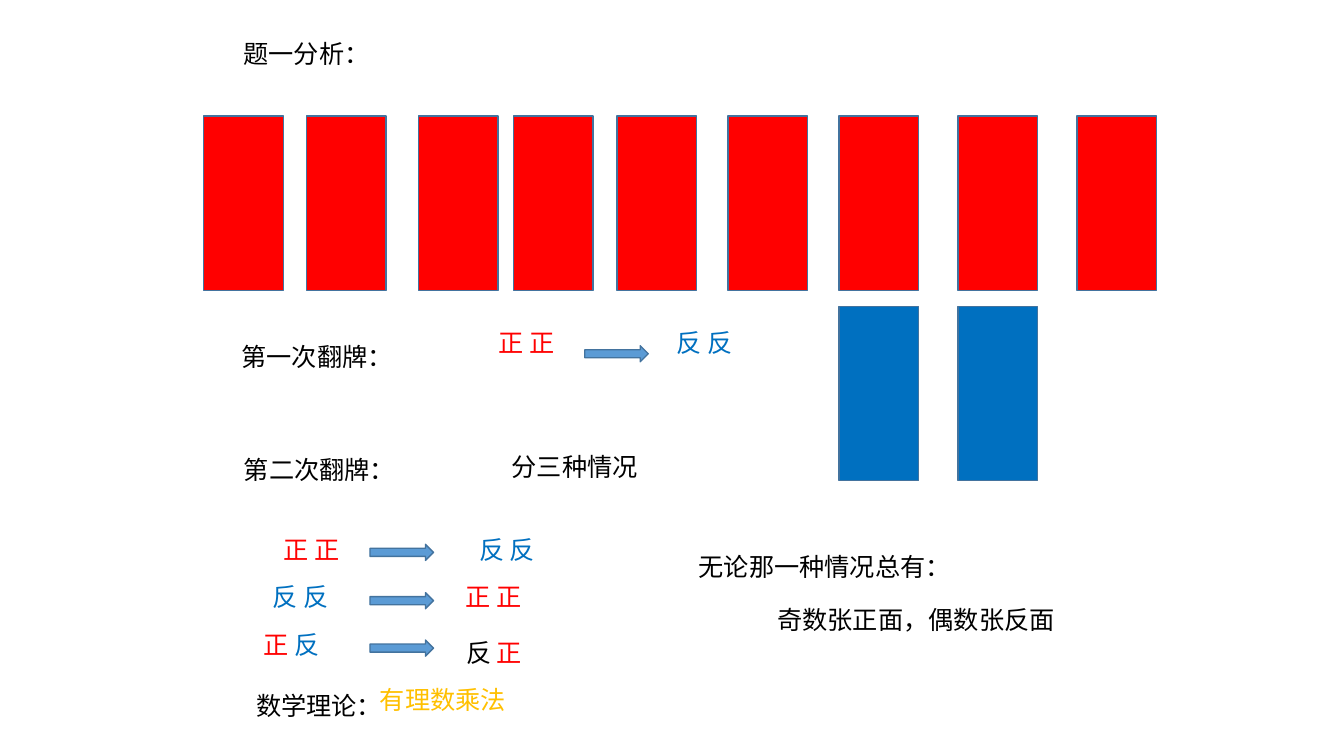
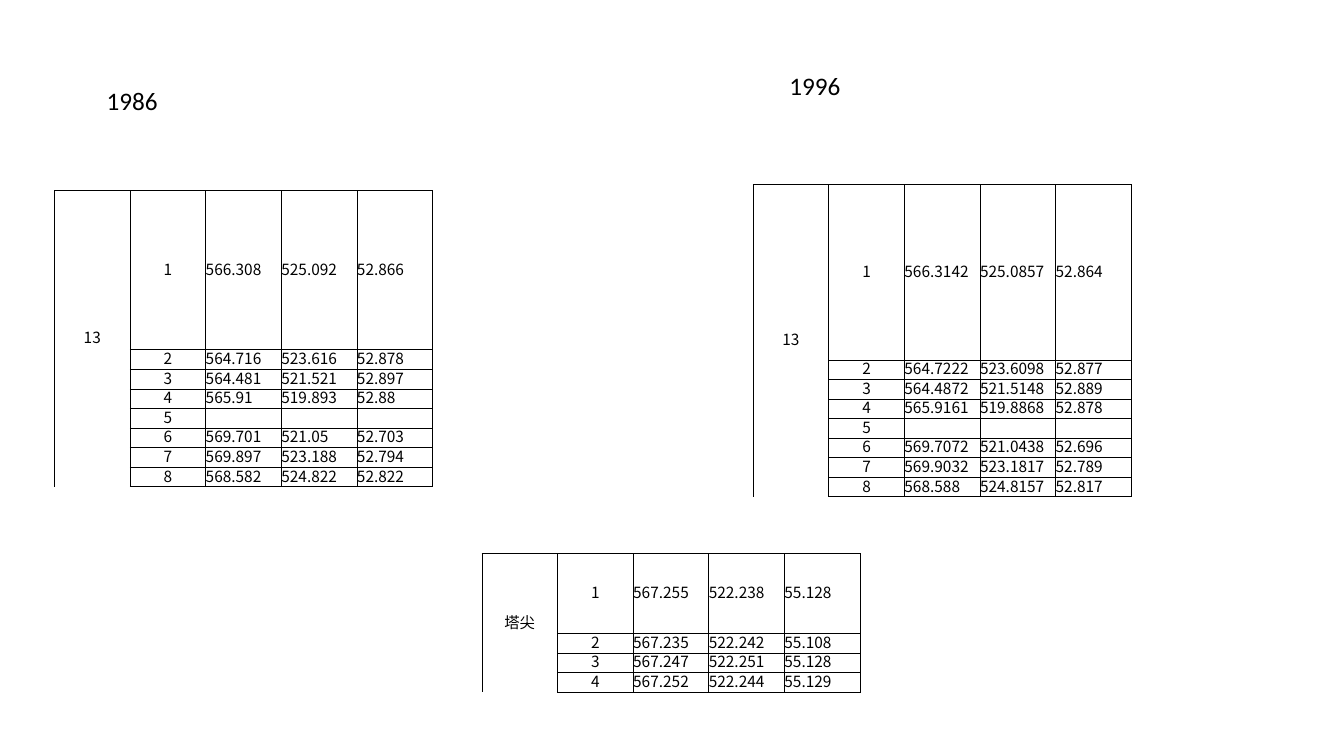
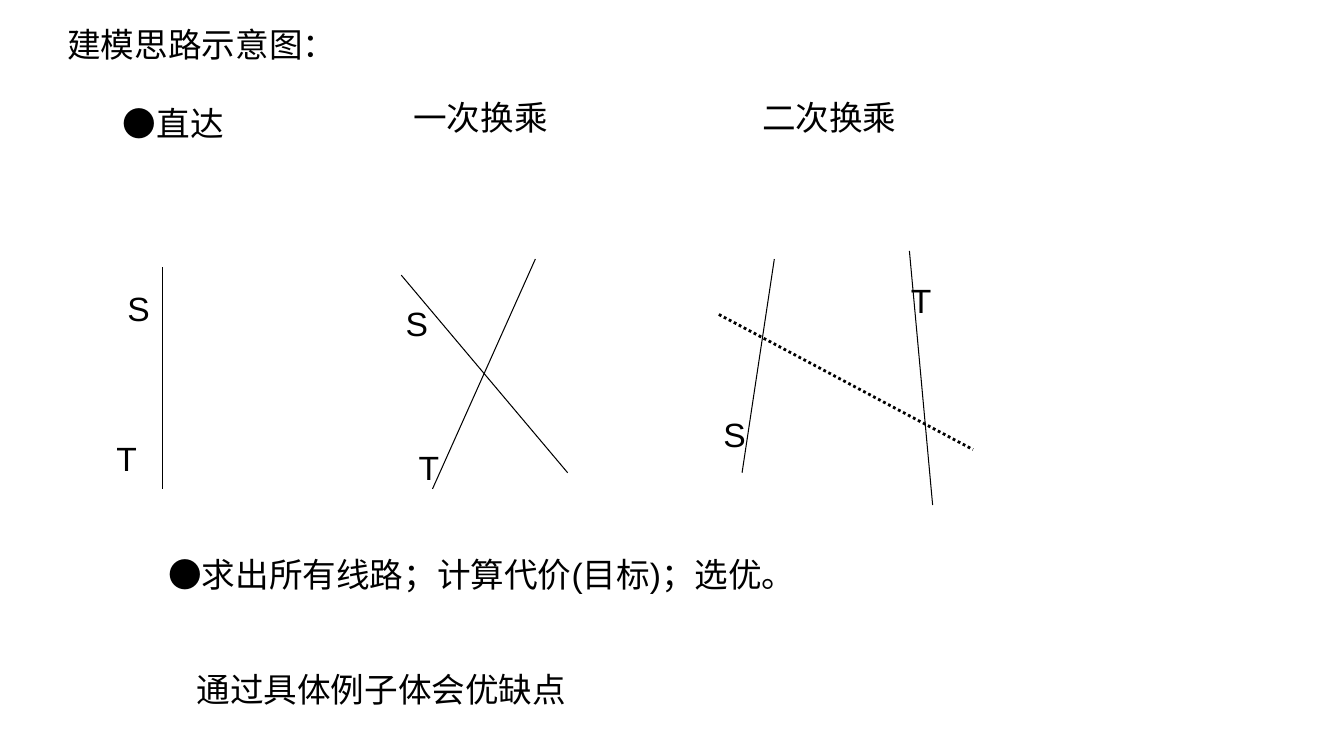
"""Build three slides: a card-flipping puzzle, coordinate tables and a transfer-route sketch."""
from dataclasses import dataclass

from lxml.etree import SubElement
from pptx import Presentation
from pptx.dml.color import RGBColor
from pptx.enum.dml import MSO_LINE_DASH_STYLE as Dash
from pptx.enum.shapes import MSO_CONNECTOR as Connector, MSO_SHAPE as Preset
from pptx.enum.text import MSO_ANCHOR as Anchor, MSO_AUTO_SIZE as AutoSize, PP_ALIGN as Align
from pptx.oxml.ns import qn
from pptx.presentation import Presentation as Deck
from pptx.slide import Slide
from pptx.table import _Cell as Cell
from pptx.util import Inches, Pt

COLORS = {
    "ink": "000000",
    "front": "FF0000",
    "back": "0070C0",
    "theory": "FFC000",
    "arrow": "5B9BD5",
    "outline": "43739E",
}
CJK, LATIN, SANS = "Noto Sans CJK SC", "Calibri", "Arial"
CARD_SIZE = (0.79, 1.73)
ARROW_SIZE = (0.63, 0.16)
TABLE_WIDTH = 3.75


@dataclass(frozen=True)
class Label:
    """A one-line text box; each run is a text and its colour name."""

    left: float
    top: float
    width: float
    runs: tuple[tuple[str, str], ...]
    align: Align = Align.CENTER
    font: str = CJK
    size: int = 18
    height: float = 0.4
    wrap: bool = True


@dataclass(frozen=True)
class Survey:
    """A table of measured points under one merged name cell."""

    left: float
    top: float
    height: float
    first_row: float
    name: str
    points: tuple[tuple[str, ...], ...]


@dataclass(frozen=True)
class Route:
    """A straight line on the route sketch."""

    start: tuple[float, float]
    end: tuple[float, float]
    weight: float = 0.75
    dotted: bool = False


def plain(text: str, color: str = "ink") -> tuple[tuple[str, str], ...]:
    """Return a single run."""
    return ((text, color),)


def heading(left: float, top: float, width: float, text: str,
            align: Align = Align.CENTER, font: str = SANS, wrap: bool = True) -> Label:
    """Return a large label for the route slide."""
    return Label(left, top, width, plain(text), align, font, 24, 0.5, wrap)


FRONTS = plain("正 正", "front")
BACKS = plain("反 反", "back")

FRONT_CARD_LEFTS = (2.02, 3.04, 4.15, 5.09, 6.12, 7.22, 8.32, 9.5, 10.68)
FLIPPED_CARD_LEFTS = (8.32, 9.5)
ARROWS = ((5.8, 3.43), (3.67, 5.4), (3.67, 5.88), (3.67, 6.35))
PUZZLE_LABELS = (
    Label(2.01, 0.33, 2.06, plain("题一分析：")),
    Label(1.92, 3.34, 2.45, plain("第一次翻牌：")),
    Label(4.15, 3.2, 2.14, FRONTS),
    Label(6.19, 3.2, 1.6, BACKS),
    Label(1.94, 4.46, 2.46, plain("第二次翻牌：")),
    Label(4.57, 4.43, 2.26, plain("分三种情况")),
    Label(2.02, 5.25, 2.14, FRONTS),
    Label(4.23, 5.25, 1.6, BACKS),
    Label(2.18, 5.72, 1.61, BACKS),
    Label(3.83, 5.72, 2.14, FRONTS),
    Label(2.18, 6.19, 1.43, (("正 ", "front"), ("反", "back"))),
    Label(4.31, 6.27, 1.18, (("反 ", "ink"), ("正", "front"))),
    Label(6.31, 5.42, 3.74, plain("无论那一种情况总有：")),
    Label(7.06, 5.95, 4.05, plain("奇数张正面，偶数张反面")),
    Label(2.09, 6.8, 2.15, plain("数学理论：")),
    Label(3.67, 6.74, 2.69, plain("有理数乘法", "theory"), Align.LEFT),
)

YEAR_LABELS = (
    Label(0.96, 0.8, 2.51, plain("1986"), Align.LEFT, LATIN),
    Label(7.73, 0.65, 2.71, plain("1996"), Align.LEFT, LATIN),
)
SURVEYS = (
    Survey(7.47, 1.83, 3.1, 1.74, "13", (
        ("566.3142", "525.0857", "52.864"),
        ("564.7222", "523.6098", "52.877"),
        ("564.4872", "521.5148", "52.889"),
        ("565.9161", "519.8868", "52.878"),
        ("", "", ""),
        ("569.7072", "521.0438", "52.696"),
        ("569.9032", "523.1817", "52.789"),
        ("568.588", "524.8157", "52.817"),
    )),
    Survey(0.54, 1.89, 2.94, 1.58, "13", (
        ("566.308", "525.092", "52.866"),
        ("564.716", "523.616", "52.878"),
        ("564.481", "521.521", "52.897"),
        ("565.91", "519.893", "52.88"),
        ("", "", ""),
        ("569.701", "521.05", "52.703"),
        ("569.897", "523.188", "52.794"),
        ("568.582", "524.822", "52.822"),
    )),
    Survey(4.78, 5.49, 1.38, 0.79, "塔尖", (
        ("567.255", "522.238", "55.128"),
        ("567.235", "522.242", "55.108"),
        ("567.247", "522.251", "55.128"),
        ("567.252", "522.244", "55.129"),
    )),
)

ROUTES = (
    Route((1.61, 2.65), (1.61, 4.85)),
    Route((3.98, 2.73), (5.63, 4.69)),
    Route((5.31, 2.57), (4.29, 4.85)),
    Route((7.68, 2.57), (7.36, 4.69)),
    Route((9.02, 2.49), (9.25, 5.01)),
    Route((7.13, 3.12), (9.65, 4.46), 2, True),
)
ROUTE_LABELS = (
    heading(0.57, 0.19, 4.05, "建模思路示意图：", Align.LEFT, CJK),
    heading(1.12, 0.97, 1.2, "●直达", font=CJK, wrap=False),
    heading(3.82, 0.91, 1.89, "一次换乘"),
    heading(7.2, 0.91, 2.05, "二次换乘"),
    heading(1.14, 2.81, 0.47, "S"),
    heading(0.9, 4.3, 0.71, "T"),
    heading(3.82, 2.96, 0.63, "S"),
    heading(3.9, 4.38, 0.71, "T"),
    heading(7.05, 4.06, 0.47, "S"),
    heading(8.86, 2.73, 0.55, "T"),
    heading(1.57, 5.45, 6.61, "●求出所有线路；计算代价(目标)；选优。", Align.LEFT),
    heading(1.85, 6.59, 6.85, "通过具体例子体会优缺点", Align.LEFT),
)


def rgb(color: str) -> RGBColor:
    """Look up a named colour."""
    return RGBColor.from_string(COLORS[color])


def add_run(paragraph, text: str, color: str, font: str, size: int) -> None:
    """Append one formatted run."""
    run = paragraph.add_run()
    run.text = text
    run.font.name = font
    run.font.size = Pt(size)
    run.font.color.rgb = rgb(color)


def add_label(slide: Slide, label: Label) -> None:
    """Draw a text box."""
    shape = slide.shapes.add_textbox(
        Inches(label.left), Inches(label.top), Inches(label.width), Inches(label.height))
    frame = shape.text_frame
    frame.word_wrap = label.wrap
    frame.auto_size = AutoSize.SHAPE_TO_FIT_TEXT
    paragraph = frame.paragraphs[0]
    paragraph.alignment = label.align
    for text, color in label.runs:
        add_run(paragraph, text, color, label.font, label.size)


def add_block(slide: Slide, preset: Preset, left: float, top: float,
              size: tuple[float, float], color: str) -> None:
    """Draw an outlined card or arrow."""
    shape = slide.shapes.add_shape(preset, Inches(left), Inches(top), *map(Inches, size))
    shape.shadow.inherit = False
    shape.fill.solid()
    shape.fill.fore_color.rgb = rgb(color)
    shape.line.color.rgb = rgb("outline")
    shape.line.width = Pt(1)


def add_route(slide: Slide, route: Route) -> None:
    """Draw a solid or dotted route line."""
    connector = slide.shapes.add_connector(
        Connector.STRAIGHT, *map(Inches, route.start + route.end))
    connector.line.color.rgb = rgb("ink")
    connector.line.width = Pt(route.weight)
    if route.dotted:
        connector.line.dash_style = Dash.ROUND_DOT
    SubElement(connector._element.spPr, qn("a:effectLst"))


def set_borders(cell: Cell, sides: str) -> None:
    """Give the listed sides of a cell a thin line and the others none."""
    properties = cell._tc.get_or_add_tcPr()
    for side in "LRTB":
        line = SubElement(properties, qn(f"a:ln{side}"), w=str(Pt(0.5)))
        if side in sides:
            fill = SubElement(line, qn("a:solidFill"))
            SubElement(fill, qn("a:srgbClr"), val=COLORS["ink"])
        else:
            SubElement(line, qn("a:noFill"))


def fill_cell(cell: Cell, text: str, align: Align, sides: str = "LRTB") -> None:
    """Write and frame one table cell."""
    set_borders(cell, sides)
    cell.fill.background()
    cell.vertical_anchor = Anchor.MIDDLE
    cell.margin_left = cell.margin_right = cell.margin_top = cell.margin_bottom = 0
    paragraph = cell.text_frame.paragraphs[0]
    paragraph.alignment = align
    paragraph.line_spacing = Pt(13.5)
    if text:
        add_run(paragraph, text, "ink", CJK, 11)
    else:
        paragraph._p.get_or_add_endParaRPr().set("sz", "1100")


def add_survey(slide: Slide, survey: Survey) -> None:
    """Draw a survey table with a tall first row and equal rows below it."""
    count = len(survey.points)
    table = slide.shapes.add_table(
        count, 5, Inches(survey.left), Inches(survey.top),
        Inches(TABLE_WIDTH), Inches(survey.height)).table
    table.first_row = table.horz_banding = False
    for column in table.columns:
        column.width = Inches(TABLE_WIDTH / 5)
    for index, row in enumerate(table.rows):
        row.height = Inches((survey.height - survey.first_row) / (count - 1)
                            if index else survey.first_row)
    table.cell(0, 0).merge(table.cell(count - 1, 0))
    for index, point in enumerate(survey.points):
        fill_cell(table.cell(index, 0), "" if index else survey.name, Align.CENTER,
                  "LR" if index else "LRT")
        fill_cell(table.cell(index, 1), str(index + 1), Align.CENTER)
        for column, value in enumerate(point, 2):
            fill_cell(table.cell(index, column), value, Align.LEFT)


def add_slide(presentation: Deck, labels: tuple[Label, ...]) -> Slide:
    """Add a blank slide carrying the given labels."""
    slide = presentation.slides.add_slide(presentation.slide_layouts[6])
    for label in labels:
        add_label(slide, label)
    return slide


def main() -> None:
    """Build and save the presentation."""
    presentation = Presentation()
    presentation.slide_width, presentation.slide_height = Inches(13.33), Inches(7.5)

    puzzle = add_slide(presentation, PUZZLE_LABELS)
    for left in FRONT_CARD_LEFTS:
        add_block(puzzle, Preset.RECTANGLE, left, 1.15, CARD_SIZE, "front")
    for left in FLIPPED_CARD_LEFTS:
        add_block(puzzle, Preset.RECTANGLE, left, 3.04, CARD_SIZE, "back")
    for left, top in ARROWS:
        add_block(puzzle, Preset.RIGHT_ARROW, left, top, ARROW_SIZE, "arrow")

    tables = add_slide(presentation, YEAR_LABELS)
    for survey in SURVEYS:
        add_survey(tables, survey)

    sketch = add_slide(presentation, ROUTE_LABELS)
    for route in ROUTES:
        add_route(sketch, route)

    presentation.save("out.pptx")


if __name__ == "__main__":
    main()
